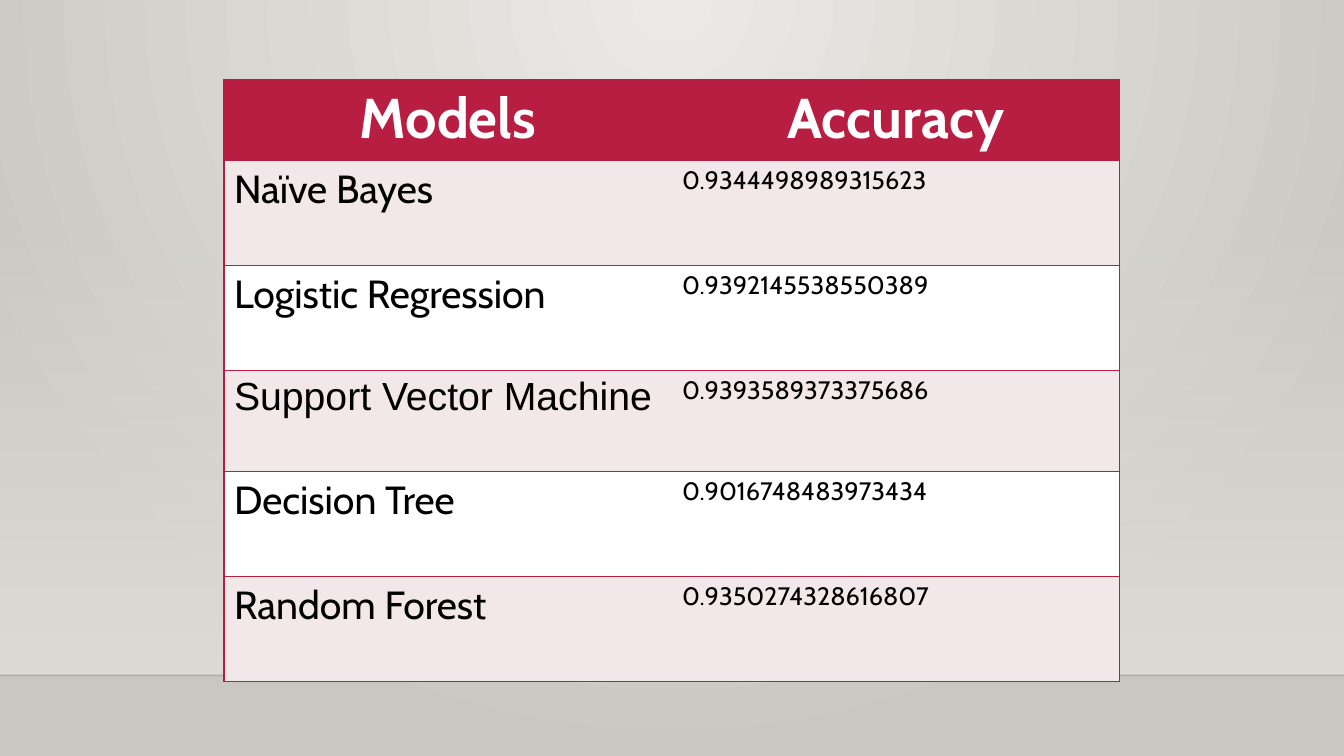
from lxml.etree import SubElement
from pptx import Presentation
from pptx.dml.color import RGBColor
from pptx.enum.shapes import MSO_CONNECTOR, MSO_SHAPE
from pptx.enum.text import PP_ALIGN
from pptx.oxml.ns import qn
from pptx.util import Pt

COLORS = {
    "crimson": "B71E42",
    "blush": "F3E8E9",
    "white": "FFFFFF",
    "black": "000000",
    "horizon": "000001",
    "glow": "ECEAE7",
    "edge": "CAC7C1",
    "wall": "DFDBD5",
}
SLIDE_WIDTH, SLIDE_HEIGHT = 960, 540
PLAIN_TABLE_STYLE = "{2D5ABB26-0587-4C30-8999-92F81FD0307C}"
HEADINGS = ("Models", "Accuracy")
# Model, its font, accuracy, row height
RESULTS = [
    ("Naïve Bayes", "Cabin", "0.9344498989315623", 75),
    ("Logistic Regression", "Cabin", "0.9392145538550389", 75),
    ("Support Vector Machine", "Arial", "0.9393589373375686", 72),
    ("Decision Tree", "Cabin", "0.9016748483973434", 75),
    ("Random Forest", "Cabin", "0.9350274328616807", 75),
]
HEADER_HEIGHT = 57.6


def rgb(name):
    return RGBColor.from_string(COLORS[name])


def set_gradient(fill, start, end):
    fill.gradient()
    for stop, color, position in zip(fill.gradient_stops, (start, end), (0, 1)):
        stop.color.rgb = rgb(color)
        stop.position = position


def set_alpha(element, percent):
    """Make the first colour found inside the element transparent."""
    color = next(element.iter(qn("a:srgbClr")))
    SubElement(color, qn("a:alpha"), val=str(percent * 1000))


def add_backdrop(slide):
    """Radial glow from the top centre of the slide."""
    set_gradient(slide.background.fill, "glow", "edge")
    gradient = next(slide.element.iter(qn("a:gradFill")))
    gradient.remove(gradient.find(qn("a:lin")))
    circle = SubElement(gradient, qn("a:path"), {"path": "circle"})
    SubElement(circle, qn("a:fillToRect"), l="43000", t="0", r="43000", b="100000")


def add_wall(slide, left, top, width, height):
    """Fading wall with the horizon line along its lower edge."""
    wall = slide.shapes.add_shape(
        MSO_SHAPE.RECTANGLE, Pt(left), Pt(top), Pt(width), Pt(height))
    wall.shadow.inherit = False
    wall.line.fill.background()
    set_gradient(wall.fill, "wall", "wall")
    wall.fill.gradient_angle = 270
    set_alpha(wall.element.spPr, 0)

    bottom = Pt(top + height)
    horizon = slide.shapes.add_connector(
        MSO_CONNECTOR.STRAIGHT, Pt(left), bottom, Pt(left + width), bottom)
    horizon.line.width = Pt(1)
    horizon.line.color.rgb = rgb("horizon")
    set_alpha(horizon.element.spPr, 20)
    SubElement(horizon.element.spPr, qn("a:effectLst"))


def add_borders(cell, sides):
    """Draw crimson borders; sides must follow the order L, R, T, B."""
    properties = cell._tc.get_or_add_tcPr()
    for index, side in enumerate(sides):
        border = SubElement(properties, qn(f"a:ln{side}"), w=str(Pt(1)))
        fill = SubElement(border, qn("a:solidFill"))
        SubElement(fill, qn("a:srgbClr"), val=COLORS["crimson"])
        properties.insert(index, border)


def fill_cell(cell, text, size, font, color, background, header):
    cell.fill.solid()
    cell.fill.fore_color.rgb = rgb(background)
    paragraph = cell.text_frame.paragraphs[0]
    paragraph.alignment = PP_ALIGN.CENTER if header else PP_ALIGN.LEFT
    run = paragraph.add_run()
    run.text = text
    run.font.size = Pt(size)
    run.font.name = font
    run.font.bold = header
    run.font.color.rgb = rgb(color)


def add_accuracy_table(slide, left, top, width):
    heights = [HEADER_HEIGHT] + [result[-1] for result in RESULTS]
    frame = slide.shapes.add_table(
        len(heights), len(HEADINGS), Pt(left), Pt(top), Pt(width), Pt(sum(heights)))
    table = frame.table
    next(frame.element.iter(qn("a:tableStyleId"))).text = PLAIN_TABLE_STYLE
    for column in table.columns:
        column.width = Pt(width / len(HEADINGS))
    for row, height in zip(table.rows, heights):
        row.height = Pt(height)

    for column, heading in enumerate(HEADINGS):
        fill_cell(table.cell(0, column), heading, 40, "Cabin", "white", "crimson", True)
    for row, (model, font, accuracy, _) in enumerate(RESULTS, start=1):
        band = "blush" if row % 2 else "white"
        fill_cell(table.cell(row, 0), model, 28, font, "black", band, False)
        fill_cell(table.cell(row, 1), accuracy, 18, "Cabin", "black", band, False)
    for row in range(len(heights)):
        add_borders(table.cell(row, 0), "LTB")
        add_borders(table.cell(row, 1), "RTB")


def main():
    presentation = Presentation()
    presentation.slide_width = Pt(SLIDE_WIDTH)
    presentation.slide_height = Pt(SLIDE_HEIGHT)
    slide = presentation.slides.add_slide(presentation.slide_layouts[6])
    add_backdrop(slide)
    add_wall(slide, 0, 159, SLIDE_WIDTH, 323.4)
    add_accuracy_table(slide, 160, 57, 640)
    presentation.save("out.pptx")


if __name__ == "__main__":
    main()
